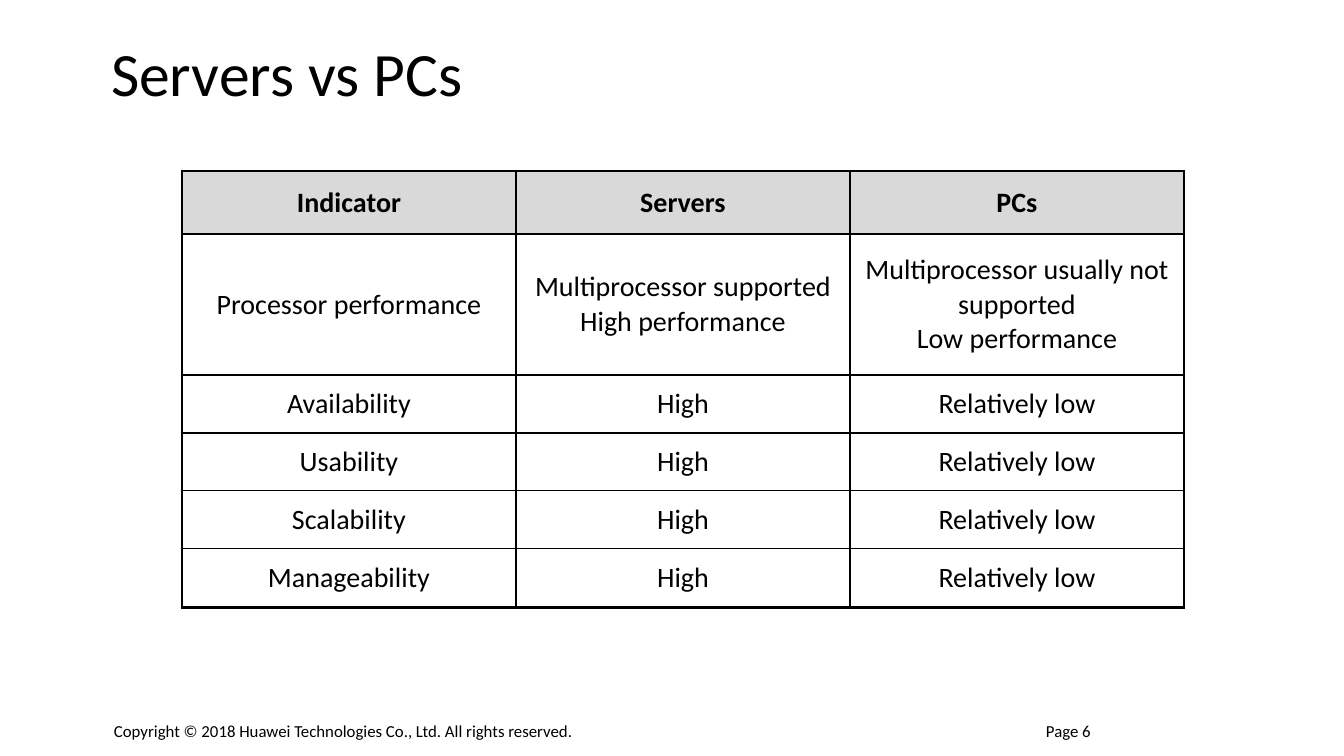
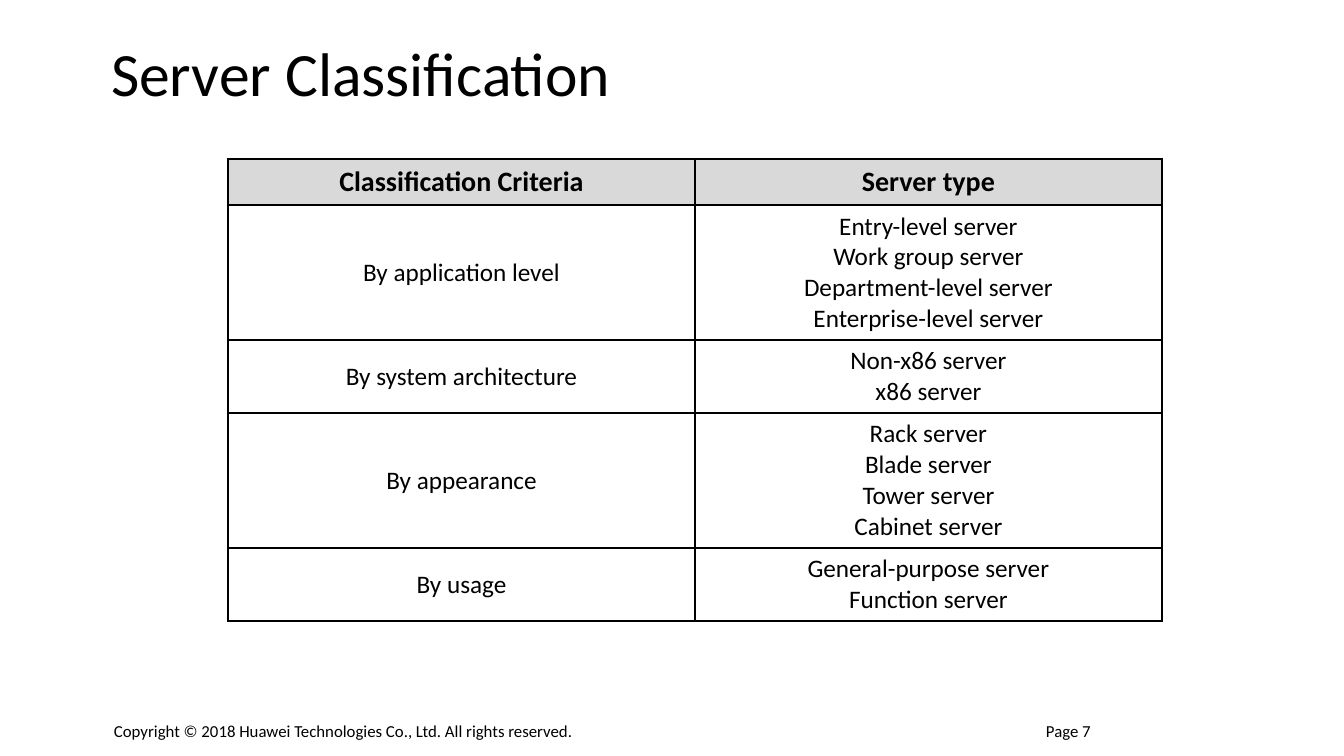
"""Build two slides that compare servers with PCs and classify servers."""
from lxml.etree import SubElement
from pptx import Presentation
from pptx.dml.color import RGBColor
from pptx.enum.text import MSO_ANCHOR, PP_ALIGN
from pptx.oxml.ns import qn
from pptx.util import Emu, Pt

FONT, BLACK, WHITE, GREY = "Calibri", "000000", "FFFFFF", "D9D9D9"
THIN, THICK = Pt(1), Pt(2.25)
COPYRIGHT = "Copyright © 2018 Huawei Technologies Co., Ltd. All rights reserved."
FIRST_PAGE = 6

SLIDES = [
    {
        "title": "Servers vs PCs", "left": 182, "top": 171, "col": 334,
        "heights": [63, 141, 58, 58, 58, 59], "size": 20,
        "rows": [
            ["Indicator", "Servers", "PCs"],
            ["Processor performance",
             "Multiprocessor supported\nHigh performance",
             "Multiprocessor usually not supported\nLow performance"],
            ["Availability", "High", "Relatively low"],
            ["Usability", "High", "Relatively low"],
            ["Scalability", "High", "Relatively low"],
            ["Manageability", "High", "Relatively low"],
        ],
    },
    {
        "title": "Server Classification", "left": 228, "top": 159, "col": 467,
        "heights": [46, 135, 73, 135, 73], "size": 18,
        "rows": [
            ["Classification Criteria", "Server type"],
            ["By application level",
             "Entry-level server\nWork group server\n"
             "Department-level server\nEnterprise-level server"],
            ["By system architecture", "Non-x86 server\nx86 server"],
            ["By appearance",
             "Rack server\nBlade server\nTower server\nCabinet server"],
            ["By usage", "General-purpose server\nFunction server"],
        ],
    },
]


def px(n):
    return Emu(round(n * 914400 / 100.8))


def rgb(value):
    return RGBColor.from_string(value)


prs = Presentation()
prs.slide_width, prs.slide_height = px(1344), px(756)
layout = prs.slide_layouts[5]

for page, data in enumerate(SLIDES, FIRST_PAGE):
    s = prs.slides.add_slide(layout)

    title = s.shapes.title
    title.left, title.top, title.width, title.height = px(101), px(29), px(1164), px(96)
    tf = title.text_frame
    tf.text = data["title"]
    tf.vertical_anchor = MSO_ANCHOR.MIDDLE
    p = tf.paragraphs[0]
    p.alignment, p.line_spacing = PP_ALIGN.LEFT, 0.9
    p.font.name, p.font.size, p.font.color.rgb = FONT, Pt(44), rgb(BLACK)

    for text, left, width in [(COPYRIGHT, 105, 531), (f"Page {page}", 1037, 85)]:
        tf = s.shapes.add_textbox(px(left), px(717), px(width), px(29)).text_frame
        tf.word_wrap = False
        tf.margin_left = tf.margin_right = px(9)
        tf.margin_top = tf.margin_bottom = px(4)
        p = tf.paragraphs[0]
        p.text = text
        p.font.name, p.font.size, p.font.color.rgb = FONT, Pt(12), rgb(BLACK)

    rows, heights = data["rows"], data["heights"]
    last_row, last_col = len(rows) - 1, len(rows[0]) - 1
    table = s.shapes.add_table(
        len(rows), len(rows[0]), px(data["left"]), px(data["top"]),
        px(data["col"] * len(rows[0])), px(sum(heights))).table
    table.horz_banding = False
    for column in table.columns:
        column.width = px(data["col"])

    for i, row in enumerate(rows):
        table.rows[i].height = px(heights[i])
        for j, text in enumerate(row):
            cell = table.cell(i, j)
            cell.text = text
            cell.vertical_anchor = MSO_ANCHOR.MIDDLE
            cell.margin_left = cell.margin_right = px(12)
            cell.margin_top = cell.margin_bottom = px(6)
            edges = {"a:lnL": j == 0, "a:lnR": j == last_col,
                     "a:lnT": i == 0, "a:lnB": i == last_row}
            for tag, outer in edges.items():
                ln = SubElement(cell._tc.get_or_add_tcPr(), qn(tag),
                                w=str(THICK if outer else THIN))
                SubElement(SubElement(ln, qn("a:solidFill")), qn("a:srgbClr"), val=BLACK)
            cell.fill.solid()
            cell.fill.fore_color.rgb = rgb(GREY if i == 0 else WHITE)
            for p in cell.text_frame.paragraphs:
                p.alignment = PP_ALIGN.CENTER
                p.font.name, p.font.color.rgb = FONT, rgb(BLACK)
                p.font.size = Pt(20 if i == 0 else data["size"])
                p.font.bold = i == 0

prs.save("out.pptx")
